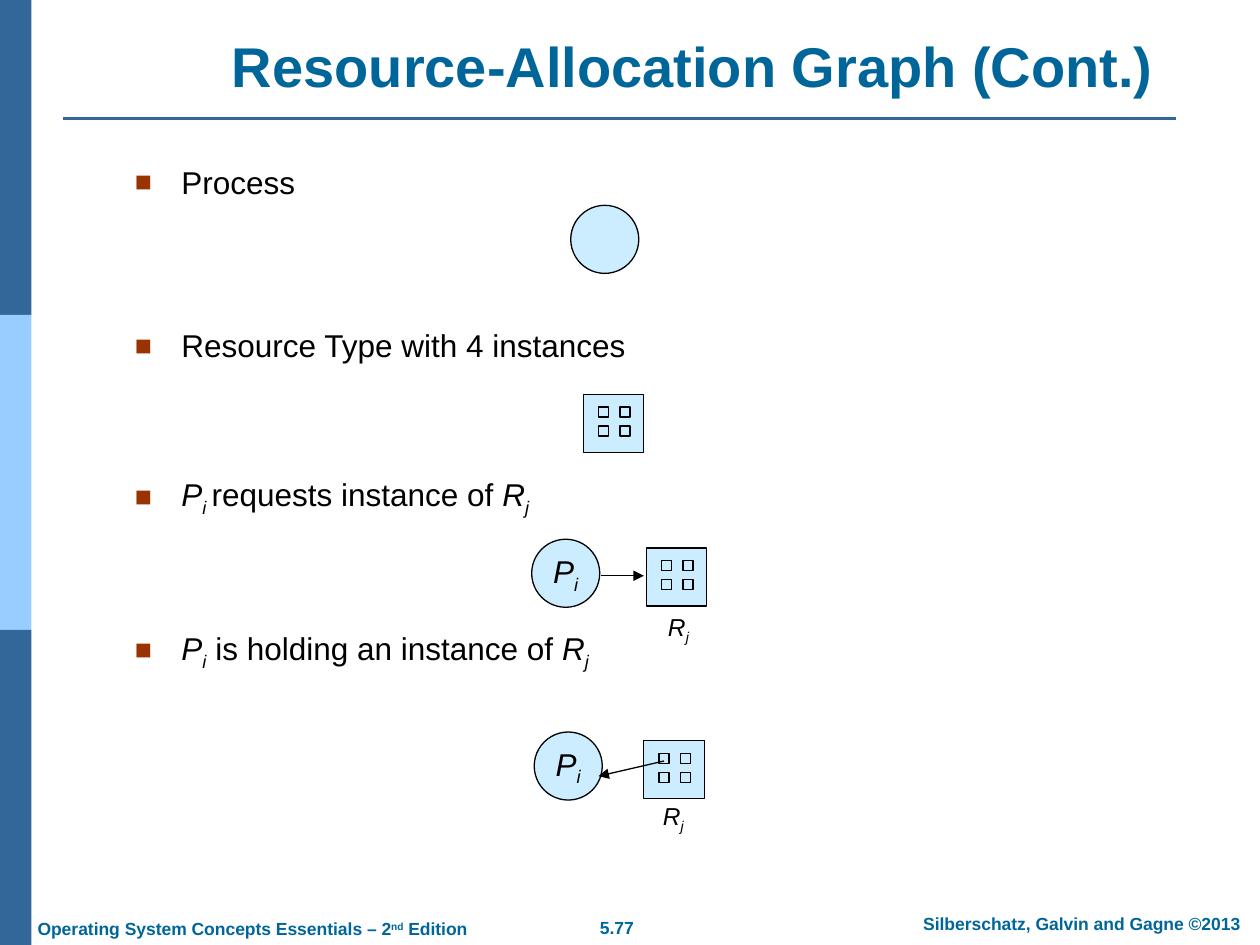
from dataclasses import dataclass
from itertools import product
from typing import NamedTuple

from lxml.etree import SubElement
from pptx import Presentation
from pptx.dml.color import RGBColor
from pptx.enum.shapes import MSO_CONNECTOR as Connector, MSO_SHAPE as Preset
from pptx.enum.text import MSO_ANCHOR as Anchor, MSO_AUTO_SIZE as AutoSize, PP_ALIGN as Align
from pptx.oxml.ns import qn
from pptx.util import Inches, Pt


@dataclass(frozen=True)
class Theme:
    """Colours, type sizes and line widths of the slide."""
    font: str = "Arial"
    heading: str = "006699"
    bar: str = "336699"
    bar_light: str = "99CCFF"
    node: str = "CCECFF"
    ink: str = "000000"
    bullet: str = "993300"
    title_size: int = 32
    body_size: int = 18
    label_size: int = 14
    footer_size: int = 10
    rule: float = 1.5
    outline: float = 0.75


class Box(NamedTuple):
    """A place on a grid of 100 columns by 75 rows."""
    column: float
    row: float
    columns: float
    rows: float


class Run(NamedTuple):
    """A piece of text with its slant and baseline shift in percent."""
    text: str
    italic: bool = False
    shift: int = 0


class Bullet(NamedTuple):
    """A list item and the space before it in points."""
    runs: list[Run]
    before: float


class Footer(NamedTuple):
    """A footer text, its box and its alignment."""
    runs: list[Run]
    box: Box
    align: Align


class Allocation(NamedTuple):
    """A process, a resource, its label and the arrow between them."""
    process: tuple[float, float]
    resource: tuple[float, float]
    label: tuple[float, float]
    start: tuple[float, float]
    end: tuple[float, float]


THEME = Theme()
UNIT = Inches(0.1)
NODE_SIZE = 5.4
RESOURCE_SIZE = (4.8, 4.6)
LABEL_SIZE = (3.7, 3.3)
INDENT = Inches(0.37)


def symbol(letter: str, index: str) -> list[Run]:
    """Return an italic letter with a subscript index."""
    return [Run(letter, True), Run(index, True, -25)]


BULLETS = [
    Bullet([Run("Process")], 0),
    Bullet([Run("Resource Type with 4 instances")], 72),
    Bullet([*symbol("P", "i "), Run("requests instance of "), *symbol("R", "j")], 63.3),
    Bullet([*symbol("P", "i"), Run(" is holding an instance of "), *symbol("R", "j")], 63.3),
]
FOOTERS = [
    Footer([Run("5.77")], Box(46.5, 72.3, 4.9, 2.7), Align.CENTER),
    Footer([Run("Silberschatz, Galvin and Gagne ©2013")], Box(71, 72, 29.7, 2.7), Align.CENTER),
    Footer([Run("Operating System Concepts Essentials – 2"), Run("nd", shift=30),
            Run(" Edition")], Box(2, 72.4, 37.6, 2.7), Align.LEFT),
]
ALLOCATIONS = [
    Allocation((42.2, 42.8), (51.3, 43.5), (52, 48.1), (47.7, 45.7), (51.1, 45.7)),
    Allocation((42.4, 58.1), (51.1, 58.8), (51.6, 63.1), (52.7, 60.4), (47.5, 61.6)),
]


def grid(*lengths: float) -> list[int]:
    """Turn grid units into slide lengths."""
    return [round(length * UNIT) for length in lengths]


def write_text(paragraph, runs: list[Run], *, size: float, color: str = THEME.ink,
               bold: bool = False, align: Align = Align.LEFT, before: float = 0) -> None:
    """Write runs into a paragraph with one format."""
    paragraph.alignment = align
    paragraph.space_before = Pt(before)
    for piece in runs:
        run = paragraph.add_run()
        run.text = piece.text
        font = run.font
        font.name, font.size = THEME.font, Pt(size)
        font.bold, font.italic = bold, piece.italic
        font.color.rgb = RGBColor.from_string(color)
        if piece.shift:
            font._element.set("baseline", str(piece.shift * 1000))


def add_block(shapes, preset: Preset, box: Box, fill: str, outlined: bool = True):
    """Add a filled preset shape."""
    shape = shapes.add_shape(preset, *grid(*box))
    shape.shadow.inherit = False
    shape.fill.solid()
    shape.fill.fore_color.rgb = RGBColor.from_string(fill)
    if outlined:
        shape.line.color.rgb = RGBColor.from_string(THEME.ink)
        shape.line.width = Pt(THEME.outline)
    else:
        shape.line.fill.background()
    return shape


def add_line(shapes, start: tuple[float, float], end: tuple[float, float],
             color: str, width: float, arrow: bool = False) -> None:
    """Add a straight line, with an arrowhead at its end if asked."""
    line = shapes.add_connector(Connector.STRAIGHT, *grid(*start, *end))
    line.line.color.rgb = RGBColor.from_string(color)
    line.line.width = Pt(width)
    if arrow:
        SubElement(line.line._get_or_add_ln(), qn("a:tailEnd"), type="triangle")
    SubElement(line._element.spPr, qn("a:effectLst"))


def add_label(shapes, box: Box, runs: list[Run], wrap: bool = False, **text_format) -> None:
    """Add a one-paragraph text box."""
    frame = shapes.add_textbox(*grid(*box)).text_frame
    frame.word_wrap = wrap
    write_text(frame.paragraphs[0], runs, **text_format)


def add_process(shapes, column: float, row: float, runs: list[Run]) -> None:
    """Add a process circle with its name."""
    shape = add_block(shapes, Preset.OVAL, Box(column, row, NODE_SIZE, NODE_SIZE), THEME.node)
    frame = shape.text_frame
    frame.word_wrap, frame.vertical_anchor = False, Anchor.MIDDLE
    if runs:
        write_text(frame.paragraphs[0], runs, size=THEME.body_size, align=Align.CENTER)


def add_resource(shapes, column: float, row: float) -> None:
    """Add a resource rectangle holding two by two instances."""
    group = shapes.add_group_shape().shapes
    add_block(group, Preset.RECTANGLE, Box(column, row, *RESOURCE_SIZE), THEME.node)
    for down, across in product(range(2), repeat=2):
        box = Box(column + 1.2 + 1.7 * across, row + 1 + 1.5 * down, 0.8, 0.8)
        add_block(group, Preset.RECTANGLE, box, THEME.node)


def add_bullet_mark(paragraph) -> None:
    """Give a paragraph a hanging indent and a square bullet."""
    properties = paragraph._p.get_or_add_pPr()
    properties.set("marL", str(INDENT))
    properties.set("indent", str(-INDENT))
    color = SubElement(properties, qn("a:buClr"))
    SubElement(color, qn("a:srgbClr"), val=THEME.bullet)
    SubElement(properties, qn("a:buSzPct"), val="90000")
    SubElement(properties, qn("a:buFont"), typeface=THEME.font)
    SubElement(properties, qn("a:buChar"), char="■")


def prepare_placeholder(placeholder, box: Box, anchor: Anchor):
    """Move a placeholder and return its text frame."""
    placeholder.left, placeholder.top, placeholder.width, placeholder.height = grid(*box)
    frame = placeholder.text_frame
    frame.auto_size, frame.vertical_anchor = AutoSize.NONE, anchor
    return frame


def main() -> None:
    """Build and save the slide."""
    presentation = Presentation()
    presentation.slide_width, presentation.slide_height = grid(100, 75)
    slide = presentation.slides.add_slide(presentation.slide_layouts[1])
    shapes = slide.shapes
    for index, fill in enumerate((THEME.bar, THEME.bar_light, THEME.bar)):
        add_block(shapes, Preset.RECTANGLE, Box(0, 25 * index, 2.5, 25), fill, outlined=False)
    add_line(shapes, (5, 9.4), (93.3, 9.4), THEME.bar, THEME.rule)
    for footer in FOOTERS:
        add_label(shapes, footer.box, footer.runs, wrap=footer.box.columns > 10,
                  size=THEME.footer_size, color=THEME.heading, bold=True, align=footer.align)
    title = prepare_placeholder(shapes.title, Box(12.3, 2, 85.4, 6.3), Anchor.BOTTOM)
    write_text(title.paragraphs[0], [Run("Resource-Allocation Graph (Cont.)")],
               size=THEME.title_size, color=THEME.heading, bold=True, align=Align.CENTER)
    body = prepare_placeholder(slide.placeholders[1], Box(9.7, 12.4, 80.3, 49.5), Anchor.TOP)
    for index, bullet in enumerate(BULLETS):
        paragraph = body.add_paragraph() if index else body.paragraphs[0]
        add_bullet_mark(paragraph)
        write_text(paragraph, bullet.runs, size=THEME.body_size, before=bullet.before)
    add_process(shapes, 45.3, 16.3, [])
    add_resource(shapes, 46.3, 31.3)
    for item in ALLOCATIONS:
        add_process(shapes, *item.process, symbol("P", "i"))
        add_resource(shapes, *item.resource)
        add_line(shapes, item.start, item.end, THEME.ink, THEME.outline, arrow=True)
        add_label(shapes, Box(*item.label, *LABEL_SIZE), symbol("R", "j"),
                  size=THEME.label_size, align=Align.CENTER)
    presentation.save("out.pptx")


if __name__ == "__main__":
    main()
